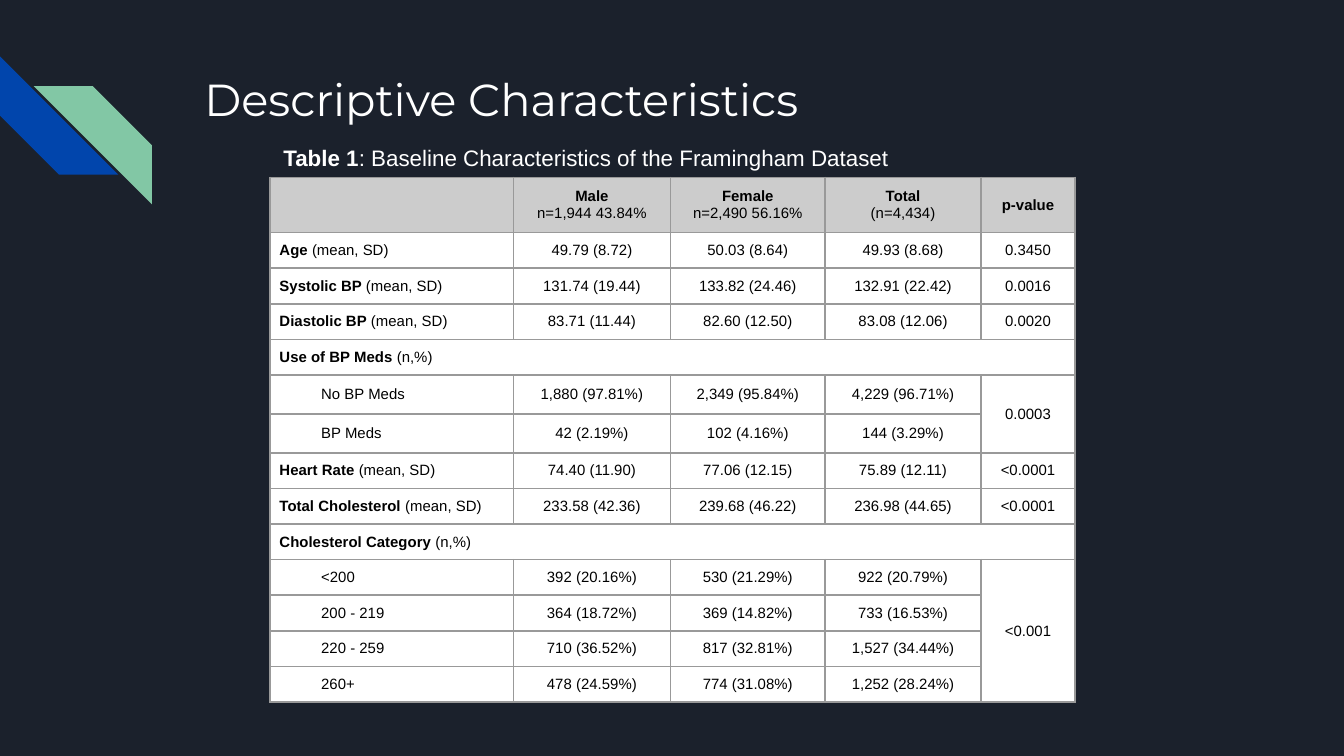
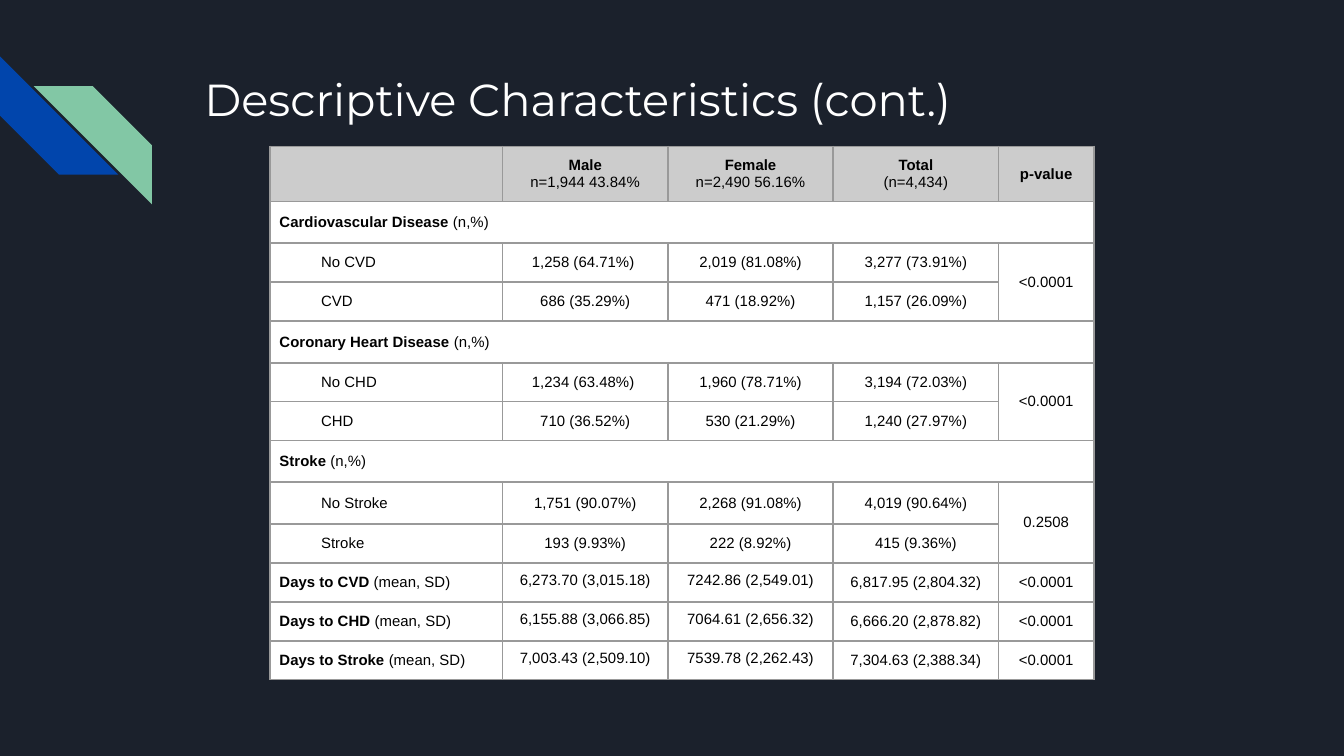
import dataclasses
import itertools

import lxml.etree
import pptx
import pptx.dml.color
import pptx.enum.shapes
import pptx.enum.text
import pptx.oxml.ns
import pptx.util

Inches = pptx.util.Inches
Align = pptx.enum.text.PP_ALIGN
Anchor = pptx.enum.text.MSO_ANCHOR


@dataclasses.dataclass
class Theme:
    back: str = "1B212C"
    blue: str = "0145AC"
    green: str = "82C7A5"
    white: str = "FFFFFF"
    black: str = "000000"
    head: str = "CCCCCC"
    rule: str = "999999"
    display: str = "Montserrat"
    body: str = "Arial"
    title: int = 24
    label: int = 12
    small: int = 8


theme = Theme()
mean, share = "(mean, SD)", "(n,%)"
heads = [
    ("Male", "n=1,944 43.84%"),
    ("Female", "n=2,490 56.16%"),
    ("Total", "(n=4,434)"),
    ("p-value",),
]

base = [
    ("Age", mean, "49.79 (8.72)", "50.03 (8.64)", "49.93 (8.68)", "0.3450"),
    ("Systolic BP", mean, "131.74 (19.44)", "133.82 (24.46)", "132.91 (22.42)", "0.0016"),
    ("Diastolic BP", mean, "83.71 (11.44)", "82.60 (12.50)", "83.08 (12.06)", "0.0020"),
    ("Use of BP Meds", share),
    ("", "No BP Meds", "1,880 (97.81%)", "2,349 (95.84%)", "4,229 (96.71%)", "0.0003"),
    ("", "BP Meds", "42 (2.19%)", "102 (4.16%)", "144 (3.29%)"),
    ("Heart Rate", mean, "74.40 (11.90)", "77.06 (12.15)", "75.89 (12.11)", "<0.0001"),
    ("Total Cholesterol", mean, "233.58 (42.36)", "239.68 (46.22)", "236.98 (44.65)", "<0.0001"),
    ("Cholesterol Category", share),
    ("", "<200", "392 (20.16%)", "530 (21.29%)", "922 (20.79%)", "<0.001"),
    ("", "200 - 219", "364 (18.72%)", "369 (14.82%)", "733 (16.53%)"),
    ("", "220 - 259", "710 (36.52%)", "817 (32.81%)", "1,527 (34.44%)"),
    ("", "260+", "478 (24.59%)", "774 (31.08%)", "1,252 (28.24%)"),
]
events = [
    ("Cardiovascular Disease", share),
    ("", "No CVD", "1,258 (64.71%) ", "2,019 (81.08%)", "3,277 (73.91%)", "<0.0001"),
    ("", "CVD", "686 (35.29%)", "471 (18.92%)", "1,157 (26.09%)"),
    ("Coronary Heart Disease", share),
    ("", "No CHD", "1,234 (63.48%) ", "1,960 (78.71%)", "3,194 (72.03%)", "<0.0001"),
    ("", "CHD", "710 (36.52%)", "530 (21.29%)", "1,240 (27.97%)"),
    ("Stroke", share),
    ("", "No Stroke", "1,751 (90.07%)", "2,268 (91.08%)", "4,019 (90.64%)", "0.2508"),
    ("", "Stroke", "193 (9.93%)", "222 (8.92%)", "415 (9.36%)"),
    ("Days to CVD", mean, "6,273.70 (3,015.18)", "7242.86 (2,549.01)", "6,817.95 (2,804.32)", "<0.0001"),
    ("Days to CHD", mean, "6,155.88 (3,066.85)", "7064.61 (2,656.32)", "6,666.20 (2,878.82)", "<0.0001"),
    ("Days to Stroke", mean, "7,003.43 (2,509.10)", "7539.78 (2,262.43)", "7,304.63 (2,388.34)", "<0.0001"),
]
pages = [
    ("Descriptive Characteristics", 0.69, 1.32, [1.81, 1.17, 1.15, 1.16, 0.7],
     [0.41] + [0.26] * 4 + [0.29] * 2 + [0.26] * 7, base),
    ("Descriptive Characteristics (cont.)", 0.53, 1.09, [1.73, 1.23, 1.23, 1.23, 0.71],
     [0.41] + [0.31, 0.29, 0.29] * 2 + [0.31] * 2 + [0.29] * 4, events),
]


def style(para, size, color, face=theme.body):
    para.font.size = pptx.util.Pt(size)
    para.font.name = face
    para.font.color.rgb = pptx.dml.color.RGBColor.from_string(color)


def put(cell, lines, align=Align.CENTER, indent=0):
    frame = cell.text_frame
    for num, parts in enumerate(lines):
        para = frame.add_paragraph() if num else frame.paragraphs[0]
        para.alignment = align
        if indent:
            para._p.get_or_add_pPr().set("marL", str(Inches(indent)))
        style(para, theme.small, theme.black)
        for text, bold in parts:
            run = para.add_run()
            run.text = text
            run.font.bold = bold


deck = pptx.Presentation()
deck.slide_width, deck.slide_height = Inches(10), Inches(10) * 9 // 16
master = deck.slide_master
master.background.fill.solid()
master.background.fill.fore_color.rgb = pptx.dml.color.RGBColor.from_string(theme.back)

for page, (name, high, top, cols, rows, data) in enumerate(pages):
    slide = deck.slides.add_slide(deck.slide_layouts[5])
    if page == 0:
        for left, y, turn, color in [(0, 0.42, 270, theme.blue), (0.25, 0.64, 0, theme.green)]:
            stripe = slide.shapes.add_shape(
                pptx.enum.shapes.MSO_SHAPE.DIAGONAL_STRIPE,
                Inches(left), Inches(y), Inches(0.88), Inches(0.88))
            stripe.rotation = turn
            stripe.shadow.inherit = False
            stripe.fill.solid()
            stripe.fill.fore_color.rgb = pptx.dml.color.RGBColor.from_string(color)
            stripe.line.fill.background()
            if not turn:
                stripe.element.spPr.xfrm.set("flipH", "1")
            master.shapes.element.append(stripe.element)

    title = slide.shapes.title
    title.left, title.top = Inches(1.42), Inches(0.43)
    title.width, title.height = Inches(7.7), Inches(high)
    frame = title.text_frame
    frame.text = name
    frame.auto_size = pptx.enum.text.MSO_AUTO_SIZE.NONE
    frame.vertical_anchor = Anchor.TOP
    frame.margin_top = frame.margin_bottom = Inches(0.1)
    frame.paragraphs[0].alignment = Align.LEFT
    style(frame.paragraphs[0], theme.title, theme.white, theme.display)

    table = slide.shapes.add_table(
        len(rows), len(cols), Inches(2.01), Inches(top), Inches(sum(cols)), Inches(sum(rows))).table
    table.first_row = table.horz_banding = False
    for col, wide in zip(table.columns, cols):
        col.width = Inches(wide)
    for row, tall in zip(table.rows, rows):
        row.height = Inches(tall)

    for num, row in enumerate(table.rows):
        for col, cell in enumerate(row.cells):
            cell.fill.solid()
            cell.fill.fore_color.rgb = pptx.dml.color.RGBColor.from_string(
                theme.white if num else theme.head)
            if num or col:
                cell.vertical_anchor = Anchor.MIDDLE
                cell.margin_left = cell.margin_right = Inches(0.07)
                cell.margin_top = cell.margin_bottom = Inches(0.07)
            props = cell._tc.get_or_add_tcPr()
            for spot, side in enumerate(["lnL", "lnR", "lnT", "lnB"]):
                line = lxml.etree.Element(pptx.oxml.ns.qn("a:" + side), w=str(pptx.util.Pt(1)))
                fill = lxml.etree.SubElement(line, pptx.oxml.ns.qn("a:solidFill"))
                lxml.etree.SubElement(fill, pptx.oxml.ns.qn("a:srgbClr"), val=theme.rule)
                props.insert(spot, line)

    for col, lines in enumerate(heads, 1):
        put(table.cell(0, col), [[(text, num == 0)] for num, text in enumerate(lines)])

    for num, (bold, plain, *vals) in enumerate(data, 1):
        first = table.cell(num, 0)
        if bold:
            put(first, [[(bold + " ", True), (plain, False)]], Align.LEFT)
        else:
            put(first, [[(plain, False)]], Align.LEFT, 0.31)
        for col, text in enumerate(vals, 1):
            put(table.cell(num, col), [[(text, False)]])
            if bold.startswith("Days") and col < 3:
                table.cell(num, col).vertical_anchor = Anchor.TOP
        if not vals:
            first.merge(table.cell(num, 4))
        elif len(vals) == 4:
            more = len(list(itertools.takewhile(lambda item: len(item) == 5, data[num:])))
            if more:
                table.cell(num, 4).merge(table.cell(num + more, 4))

    if page == 0:
        box = slide.shapes.add_textbox(Inches(2.01), Inches(0.89), Inches(5.87), Inches(0.54))
        frame = box.text_frame
        frame.word_wrap = True
        frame.vertical_anchor = Anchor.MIDDLE
        frame.margin_top = frame.margin_bottom = Inches(0.1)
        para = frame.paragraphs[0]
        para.line_spacing = 1.15
        style(para, theme.label, theme.white)
        for text, bold in [("Table 1", True), (": Baseline Characteristics of the Framingham Dataset", False)]:
            run = para.add_run()
            run.text = text
            run.font.bold = bold

deck.save("out.pptx")
